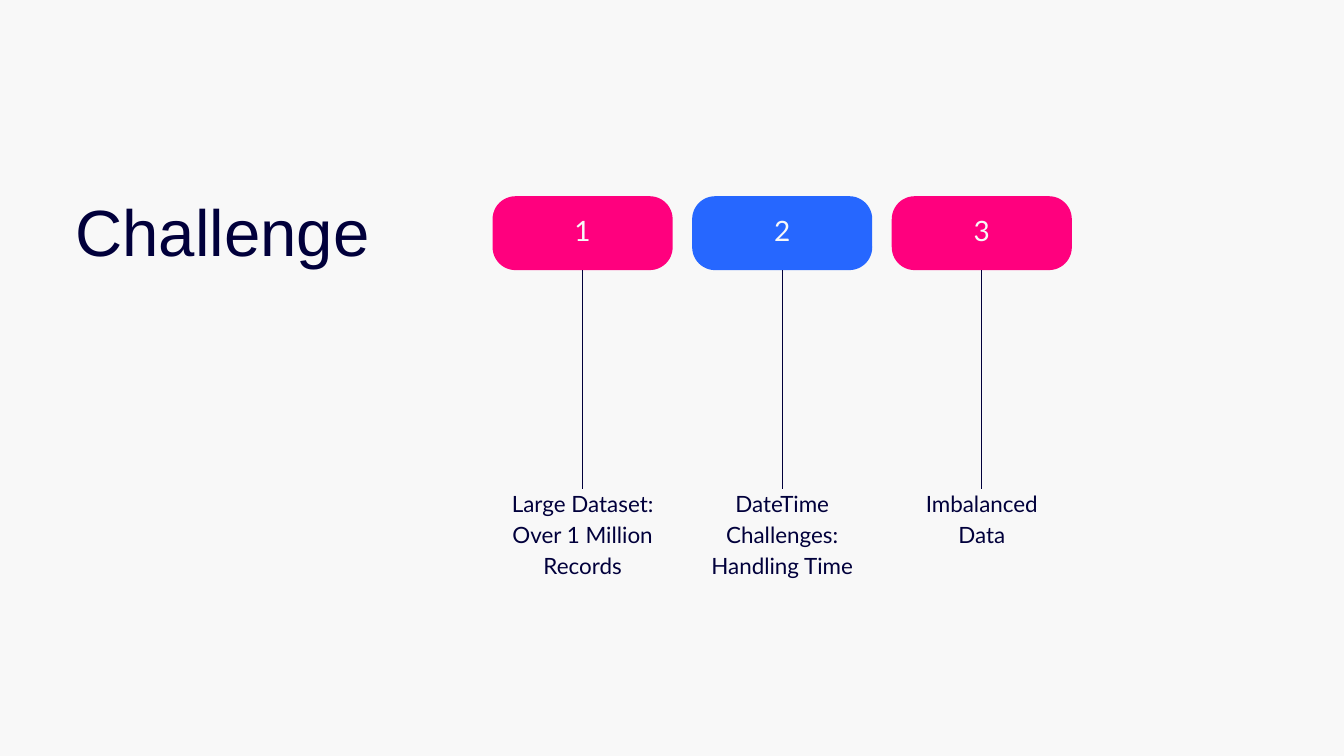
import dataclasses

import pptx
import pptx.dml.color
import pptx.enum.shapes
import pptx.enum.text
import pptx.oxml
import pptx.oxml.ns
import pptx.util

Inches = pptx.util.Inches
Pt = pptx.util.Pt
RGBColor = pptx.dml.color.RGBColor
Align = pptx.enum.text.PP_ALIGN
Anchor = pptx.enum.text.MSO_ANCHOR

PALE = RGBColor(0xF8, 0xF8, 0xF8)
NAVY = RGBColor(0x01, 0x00, 0x3B)
PINK = RGBColor(0xFF, 0x00, 0x7E)
BLUE = RGBColor(0x26, 0x67, 0xFF)

FIRST_LEFT, BADGE_TOP = 7.33, 2.92
BADGE_WIDTH, BADGE_HEIGHT = 2.68, 1.1
COLUMN_STEP = 2.97
LINE_BOTTOM = 7.27
LABEL_TOP, LABEL_WIDTH = 7.22, 2.38


@dataclasses.dataclass
class Challenge:
    number: str
    color: RGBColor
    lines: list[str]


CHALLENGES = [
    Challenge("1", PINK, ["Large Dataset:", "Over 1 Million Records"]),
    Challenge("2", BLUE, ["DateTime Challenges:", "Handling Time"]),
    Challenge("3", PINK, ["Imbalanced", "Data"]),
]


def write_lines(frame, lines: list[str], font: str, size: float, spacing: float,
                color: RGBColor, align: Align, anchor: Anchor) -> None:
    """Fill a text frame with one paragraph per line and no insets."""
    frame.word_wrap = True
    frame.auto_size = pptx.enum.text.MSO_AUTO_SIZE.NONE
    frame.vertical_anchor = anchor
    frame.margin_left = frame.margin_right = 0
    frame.margin_top = frame.margin_bottom = 0
    for index, line in enumerate(lines):
        paragraph = frame.add_paragraph() if index else frame.paragraphs[0]
        paragraph.alignment = align
        paragraph.line_spacing = Pt(spacing)
        paragraph.space_before = Pt(0)
        run = paragraph.add_run()
        run.text = line
        run.font.name = font
        run.font.size = Pt(size)
        run.font.color.rgb = color


def add_title(slide, text: str) -> None:
    title = slide.shapes.title
    title.left, title.top = Inches(1.12), Inches(2.84)
    title.width, title.height = Inches(5.15), Inches(1.17)
    write_lines(title.text_frame, [text], "Arial", 70, 84, NAVY, Align.LEFT, Anchor.TOP)


def add_badge(slide, challenge: Challenge, left: float):
    badge = slide.shapes.add_shape(
        pptx.enum.shapes.MSO_SHAPE.ROUNDED_RECTANGLE, Inches(left), Inches(BADGE_TOP),
        Inches(BADGE_WIDTH), Inches(BADGE_HEIGHT))
    badge.adjustments[0] = 0.31
    badge.shadow.inherit = False
    badge.fill.solid()
    badge.fill.fore_color.rgb = challenge.color
    badge.line.fill.background()
    write_lines(badge.text_frame, [challenge.number], "Lato", 30, 42, PALE,
                Align.CENTER, Anchor.MIDDLE)
    # The number sits slightly above the middle
    badge.text_frame.margin_bottom = Inches(0.16)
    return badge


def add_stem(slide, badge, center: float) -> None:
    stem = slide.shapes.add_connector(
        pptx.enum.shapes.MSO_CONNECTOR.STRAIGHT, Inches(center),
        Inches(BADGE_TOP + BADGE_HEIGHT), Inches(center), Inches(LINE_BOTTOM))
    stem.begin_connect(badge, 2)
    stem.line.color.rgb = NAVY
    stem.line.width = Pt(0.75)
    properties = stem.element.find(pptx.oxml.ns.qn("p:spPr"))
    properties.append(pptx.oxml.parse_xml(
        f"<a:effectLst {pptx.oxml.ns.nsdecls('a')}/>"))


def add_label(slide, challenge: Challenge, center: float) -> None:
    label = slide.shapes.add_textbox(
        Inches(center - LABEL_WIDTH / 2), Inches(LABEL_TOP),
        Inches(LABEL_WIDTH), Inches(1.82))
    write_lines(label.text_frame, challenge.lines, "Lato", 24, 33.6, NAVY,
                Align.CENTER, Anchor.TOP)


def main() -> None:
    presentation = pptx.Presentation()
    presentation.slide_width = Inches(20)
    presentation.slide_height = Inches(11.25)

    # Title Only layout on a pale background
    slide = presentation.slides.add_slide(presentation.slide_layouts[5])
    slide.background.fill.solid()
    slide.background.fill.fore_color.rgb = PALE
    add_title(slide, "Challenge")

    # One column per challenge: badge, stem, label
    for index, challenge in enumerate(CHALLENGES):
        left = FIRST_LEFT + index * COLUMN_STEP
        center = left + BADGE_WIDTH / 2
        badge = add_badge(slide, challenge, left)
        add_stem(slide, badge, center)
        add_label(slide, challenge, center)

    presentation.save("out.pptx")


if __name__ == "__main__":
    main()
